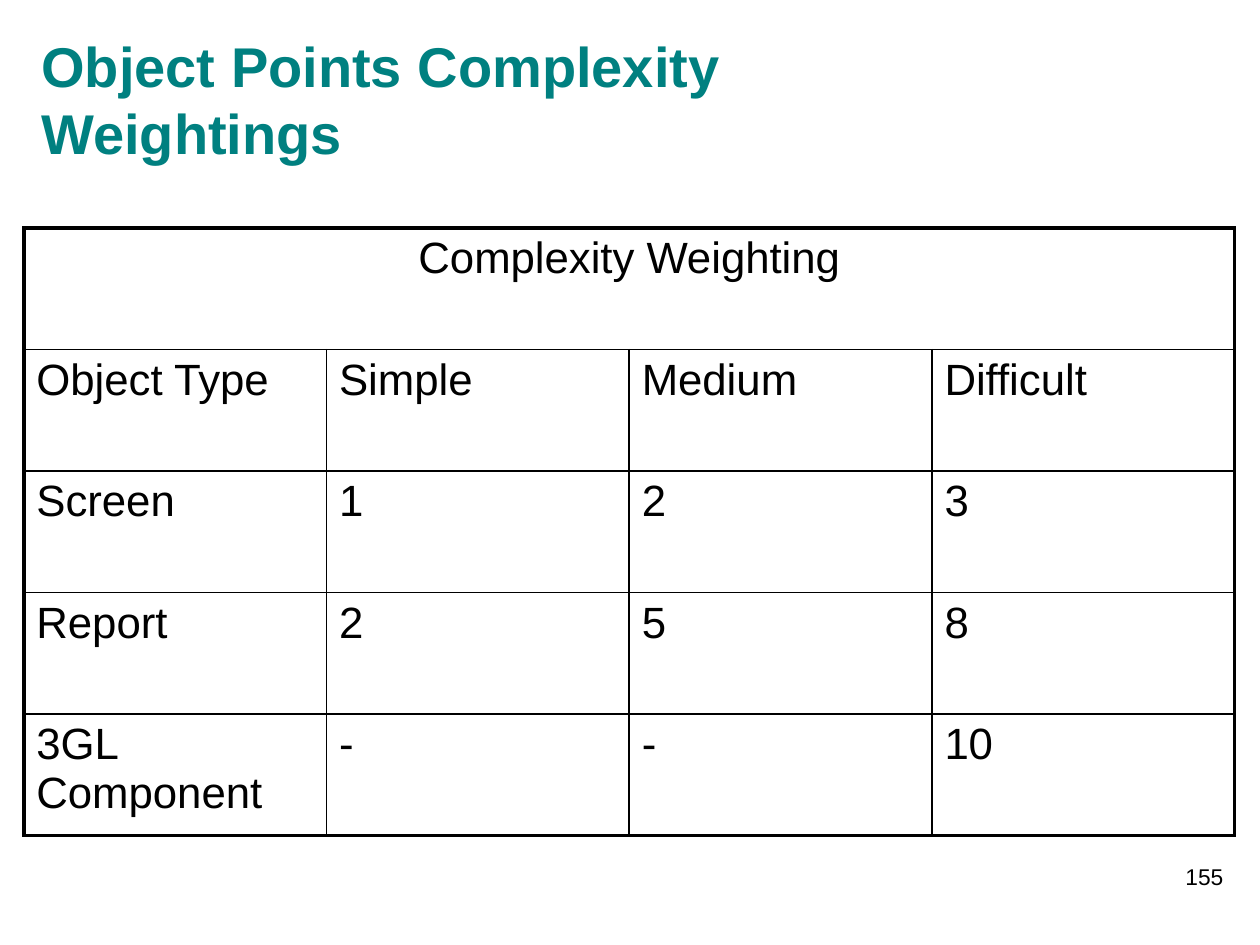
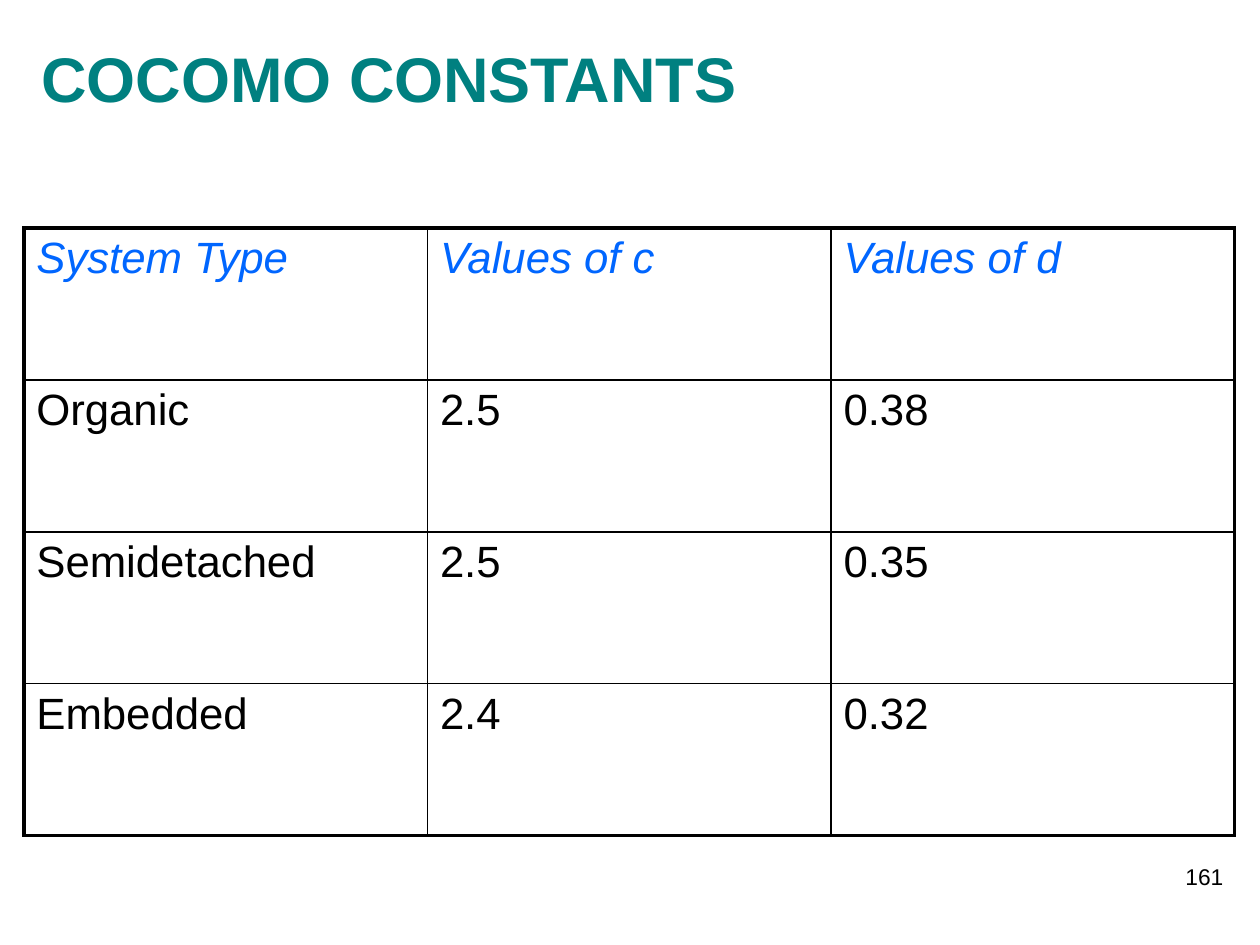
from dataclasses import dataclass

import lxml.etree
import pptx
import pptx.dml.color
import pptx.enum.text
import pptx.oxml.ns
import pptx.util

Cm, Pt = pptx.util.Cm, pptx.util.Pt
RGBColor = pptx.dml.color.RGBColor
Align = pptx.enum.text.PP_ALIGN

TEAL = RGBColor(0x00, 0x80, 0x80)
BLUE = RGBColor(0x00, 0x66, 0xFF)
BLACK = RGBColor(0x00, 0x00, 0x00)
FONT = "Arial"

TABLE_LEFT, TABLE_TOP = Cm(0.48), Cm(4.6)
TABLE_WIDTH, TABLE_HEIGHT = Cm(24.41), Cm(12.24)
OUTER, INNER = Pt(2.25), Pt(1)


@dataclass
class TableSlide:
    title: str
    title_size: int
    title_top: float
    number: int
    rows: list[list[str]]
    header_color: RGBColor = BLACK
    header_italic: bool = False


SLIDES = [
    TableSlide(
        "Object Points Complexity Weightings", 32, 0.81, 155,
        [
            ["Complexity Weighting"],
            ["Object Type", "Simple", "Medium", "Difficult"],
            ["Screen", "1", "2", "3"],
            ["Report", "2", "5", "8"],
            ["3GL Component", "-", "-", "10"],
        ],
    ),
    TableSlide(
        "COCOMO CONSTANTS", 36, 0.38, 161,
        [
            ["System Type", "Values of c", "Values of d"],
            ["Organic", "2.5", "0.38"],
            ["Semidetached", "2.5", "0.35"],
            ["Embedded", "2.4", "0.32"],
        ],
        header_color=BLUE, header_italic=True,
    ),
]


def write(tf, text: str, *, size: float, color: RGBColor = BLACK, bold: bool = False,
          italic: bool = False, align: Align = Align.LEFT) -> None:
    p = tf.paragraphs[0]
    p.alignment = align
    r = p.add_run()
    r.text = text
    r.font.name, r.font.size = FONT, Pt(size)
    r.font.bold, r.font.italic = bold, italic
    r.font.color.rgb = color


def set_borders(cell, left: int, right: int, top: int, bottom: int) -> None:
    props = cell._tc.get_or_add_tcPr()
    qn = pptx.oxml.ns.qn
    for i, (side, width) in enumerate(zip("LRTB", (left, right, top, bottom))):
        ln = lxml.etree.Element(qn(f"a:ln{side}"), w=str(width))
        fill = lxml.etree.SubElement(ln, qn("a:solidFill"))
        lxml.etree.SubElement(fill, qn("a:srgbClr"), val=str(BLACK))
        props.insert(i, ln)


def add_title(s, data: TableSlide) -> None:
    sp = s.shapes.title
    sp.left, sp.top = Cm(0.58), Cm(data.title_top)
    sp.width, sp.height = Cm(20.4), Cm(2.36)
    tf = sp.text_frame
    tf.auto_size = pptx.enum.text.MSO_AUTO_SIZE.NONE
    tf.vertical_anchor = pptx.enum.text.MSO_ANCHOR.MIDDLE
    write(tf, data.title, size=data.title_size, color=TEAL, bold=True)


def add_grid(s, data: TableSlide) -> None:
    """Draw the table; a row with a single text spans all columns."""
    n_rows, n_cols = len(data.rows), len(data.rows[-1])
    table = s.shapes.add_table(n_rows, n_cols, TABLE_LEFT, TABLE_TOP,
                               TABLE_WIDTH, TABLE_HEIGHT).table
    table.first_row = table.horz_banding = False
    for i, texts in enumerate(data.rows):
        spans = len(texts) == 1
        if spans:
            table.cell(i, 0).merge(table.cell(i, n_cols - 1))
        for j in range(n_cols):
            table.cell(i, j).fill.background()
        for j, text in enumerate(texts):
            cell = table.cell(i, j)
            set_borders(
                cell,
                left=OUTER if j == 0 else INNER,
                right=OUTER if j == len(texts) - 1 else INNER,
                top=OUTER if i == 0 else INNER,
                bottom=OUTER if i == n_rows - 1 else INNER,
            )
            write(cell.text_frame, text, size=25,
                  color=data.header_color if i == 0 else BLACK,
                  italic=data.header_italic and i == 0,
                  align=Align.CENTER if spans else Align.LEFT)


def add_number(s, number: int) -> None:
    tf = s.shapes.add_textbox(Cm(19.63), Cm(17.27), Cm(5.28), Cm(1.27)).text_frame
    tf.word_wrap = True
    write(tf, str(number), size=13, align=Align.RIGHT)


def main() -> None:
    prs = pptx.Presentation()
    prs.slide_width, prs.slide_height = Cm(25.4), Cm(19.05)
    title_only = prs.slide_layouts.get_by_name("Title Only")
    for data in SLIDES:
        s = prs.slides.add_slide(title_only)
        add_title(s, data)
        add_grid(s, data)
        add_number(s, data.number)
    prs.save("out.pptx")


if __name__ == "__main__":
    main()
